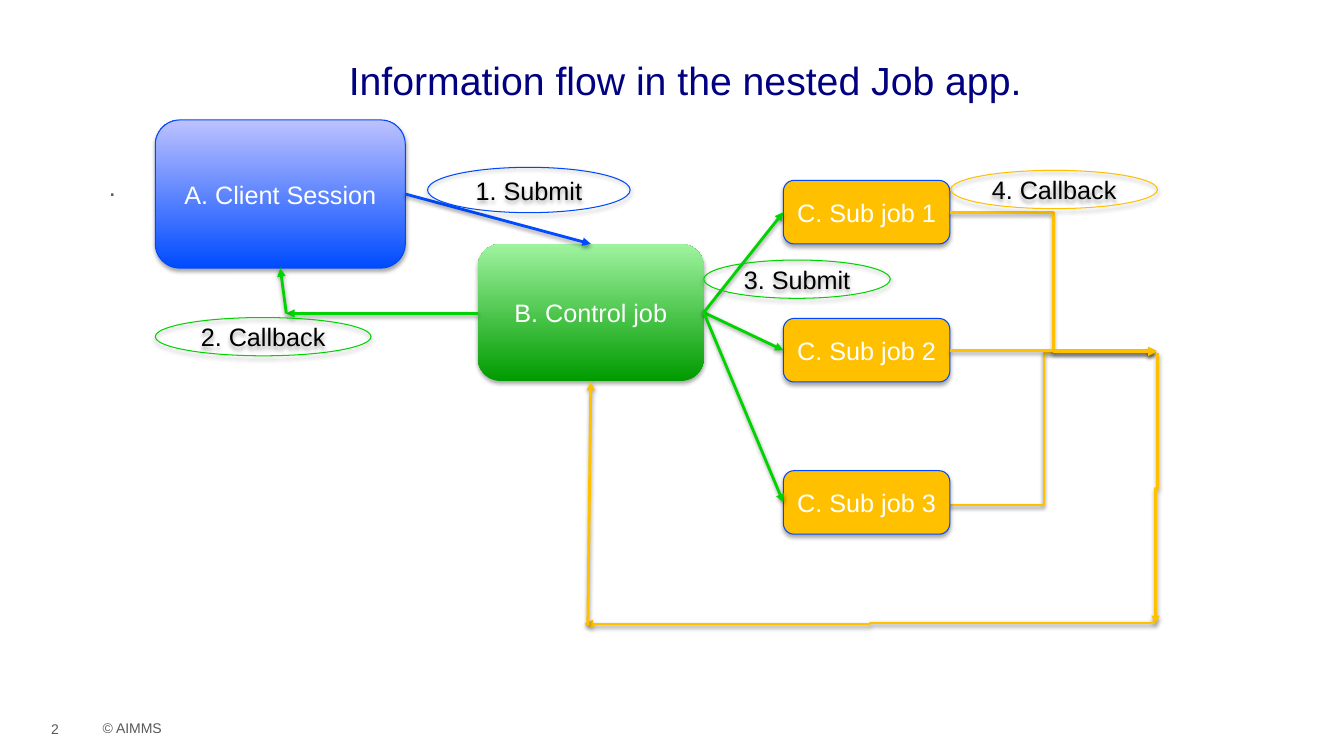
"""Build the slide on information flow in the nested job app."""
from dataclasses import dataclass

from pptx import Presentation
from pptx import oxml
from pptx.dml import color
from pptx.enum import shapes, text
from pptx.oxml import ns
from pptx.util import Inches, Pt


@dataclass(frozen=True)
class Theme:
    """Colours, font and sizes of the slide."""
    font: str = "Arial"
    title: str = "000081"
    body: str = "595959"
    footer: str = "585858"
    white: str = "FFFFFF"
    black: str = "000000"
    outline: str = "0049F9"
    blue: str = "004BFF"
    pale_blue: str = "BDC1FF"
    green: str = "00D400"
    dark_green: str = "009B00"
    pale_green: str = "9FF39F"
    amber: str = "FFC000"
    title_size: int = 28
    text_size: int = 18
    footer_size: int = 10
    thin: float = 0.75
    thick: float = 2


THEME = Theme()
TOP, LEFT, BOTTOM, RIGHT = range(4)


def rgb(value):
    """Turn a hex string into a colour."""
    return color.RGBColor.from_string(value)


def apply(target, values):
    """Set every attribute named in a dict of format values."""
    for name, value in values.items():
        setattr(target, name, value)


def write(box, words, tint, size, para_format, frame_format):
    """Write one formatted paragraph into a shape or placeholder."""
    frame = box.text_frame
    apply(frame, {"auto_size": text.MSO_AUTO_SIZE.NONE, **frame_format})
    para = frame.paragraphs[0]
    apply(para, para_format)
    span = para.add_run()
    span.text = words
    apply(span.font, {"name": THEME.font, "size": Pt(size)})
    span.font.color.rgb = rgb(tint)


def place(box, left, top, width, height):
    """Move and size a shape in inches."""
    apply(box, {"left": Inches(left), "top": Inches(top),
                "width": Inches(width), "height": Inches(height)})


def add_shadow(item, distance, alpha):
    """Give a shape or connector a soft shadow below it."""
    properties = item._element.spPr
    for old in properties.findall(ns.qn("a:effectLst")):
        properties.remove(old)
    properties.append(oxml.parse_xml(
        f'<a:effectLst {ns.nsdecls("a")}><a:outerShdw blurRad="{Pt(3.1)}" dist="{Pt(distance)}" '
        f'dir="5400000" rotWithShape="0"><a:srgbClr val="{THEME.black}">'
        f'<a:alpha val="{alpha * 1000}"/></a:srgbClr></a:outerShdw></a:effectLst>'))


def add_node(page, kind, bounds, words, tint, fills=(), outline=None):
    """Add a shape with centred text and no, solid or gradient fill."""
    box = page.shapes.add_shape(kind, *map(Inches, bounds))
    box.shadow.inherit = False
    if len(fills) == 2:
        box.fill.gradient()
        box.fill.gradient_angle = 90
        for stop, shade in zip(box.fill.gradient_stops, fills):
            stop.color.rgb = rgb(shade)
    elif fills:
        box.fill.solid()
        box.fill.fore_color.rgb = rgb(fills[0])
    else:
        box.fill.background()
    if outline:
        box.line.color.rgb = rgb(outline)
        box.line.width = Pt(THEME.thin)
    else:
        box.line.fill.background()
    add_shadow(box, 1.8, 35)
    write(box, words, tint, THEME.text_size, {"alignment": text.PP_ALIGN.CENTER},
          {"word_wrap": True, "vertical_anchor": text.MSO_ANCHOR.MIDDLE,
           "margin_left": 0, "margin_right": 0})
    return box


def add_job(page, bounds, words, fills, outline=None):
    """Add a rounded box for a session or job."""
    return add_node(page, shapes.MSO_SHAPE.ROUNDED_RECTANGLE, bounds, words,
                    THEME.white, fills, outline)


def add_label(page, bounds, words, outline):
    """Add an open ellipse that names a step."""
    add_node(page, shapes.MSO_SHAPE.OVAL, bounds, words, THEME.black, outline=outline)


def add_arrow(page, start, end, tint, kind=shapes.MSO_CONNECTOR.STRAIGHT):
    """Add a shadowed arrow between two points in inches."""
    arrow = page.shapes.add_connector(kind, *map(Inches, (*start, *end)))
    arrow.line.color.rgb = rgb(tint)
    arrow.line.width = Pt(THEME.thick)
    arrow.line._get_or_add_ln().append(
        oxml.parse_xml(f'<a:tailEnd {ns.nsdecls("a")} type="triangle"/>'))
    add_shadow(arrow, 1.6, 38)
    return arrow


def add_elbow(page, start, end, tint):
    """Add an arrow that turns halfway across."""
    return add_arrow(page, start, end, tint, shapes.MSO_CONNECTOR.ELBOW)


def add_drop(page, start, end, tint):
    """Add an arrow that runs down and turns halfway."""
    (x1, y1), (x2, y2) = start, end
    middle_x, middle_y = (x1 + x2) / 2, (y1 + y2) / 2
    half_run, half_shift = (y2 - y1) / 2, (x1 - x2) / 2
    arrow = add_elbow(page, (middle_x - half_run, middle_y - half_shift),
                      (middle_x + half_run, middle_y + half_shift), tint)
    arrow._element.spPr.find(ns.qn("a:xfrm")).set("rot", "5400000")


def add_link(page, source, source_site, target, target_site, tint):
    """Add a straight arrow glued to two boxes."""
    arrow = add_arrow(page, (0, 0), (1, 1), tint)
    arrow.begin_connect(source, source_site)
    arrow.end_connect(target, target_site)


def add_texts(page):
    """Fill the placeholders and add the footer texts."""
    title, body = page.placeholders
    place(title, 0.93, 0.48, 11.73, 0.49)
    write(title, "Information flow in the nested Job app.", THEME.title, THEME.title_size,
          {"alignment": text.PP_ALIGN.CENTER},
          {"vertical_anchor": text.MSO_ANCHOR.TOP, "margin_top": Inches(0.08)})
    place(body, 0.98, 1.5, 11.77, 5.18)
    properties = body.text_frame.paragraphs[0]._p.get_or_add_pPr()
    apply_indent = {"marL": "0", "indent": "0"}
    for name, value in apply_indent.items():
        properties.set(name, value)
    properties.append(oxml.parse_xml(f'<a:buNone {ns.nsdecls("a")}/>'))
    write(body, ".", THEME.body, THEME.text_size,
          {"line_spacing": 1.5, "space_before": Pt(0)}, {})
    for words, bounds, anchor in (
            ("2", (0.41, 6.96, 0.51, 0.4), text.MSO_ANCHOR.BOTTOM),
            ("© AIMMS", (0.92, 7.09, 0.8, 0.27), text.MSO_ANCHOR.TOP)):
        box = page.shapes.add_textbox(*map(Inches, bounds))
        write(box, words, THEME.footer, THEME.footer_size, {},
              {"word_wrap": False, "vertical_anchor": anchor})


def add_flow(page):
    """Draw the jobs, the arrows between them and the step labels."""
    add_elbow(page, (9.24, 5.01), (11.47, 3.5), THEME.amber)
    client = add_job(page, (1.54, 1.19, 2.48, 1.47), "A. Client Session",
                     (THEME.blue, THEME.pale_blue), THEME.outline)
    control = add_job(page, (4.74, 2.42, 2.24, 1.36), "B. Control job",
                      (THEME.dark_green, THEME.pale_green))
    sub_jobs = [add_job(page, (7.77, top, 1.65, 0.63), f"C. Sub job {number}",
                        (THEME.amber,), THEME.outline)
                for number, top in enumerate((1.79, 3.16, 4.67), 1)]
    for sub_job in sub_jobs:
        add_link(page, control, RIGHT, sub_job, LEFT, THEME.green)
    add_elbow(page, (9.42, 2.11), (11.47, 3.48), THEME.amber)
    add_elbow(page, (9.42, 3.48), (11.47, 3.49), THEME.amber)
    add_drop(page, (11.48, 3.5), (11.46, 6.19), THEME.amber)
    add_elbow(page, (11.46, 6.18), (5.8, 6.19), THEME.amber)
    add_arrow(page, (5.83, 6.2), (5.86, 3.79), THEME.amber)
    add_link(page, client, RIGHT, control, TOP, THEME.blue)
    add_elbow(page, (4.74, 3.11), (2.84, 3.11), THEME.green)
    add_arrow(page, (2.84, 3.11), (2.78, 2.66), THEME.green)
    for words, bounds, outline in (
            ("1. Submit", (4.24, 1.66, 2.01, 0.45), THEME.outline),
            ("3. Submit", (6.98, 2.58, 1.85, 0.38), THEME.green),
            ("4. Callback", (9.43, 1.69, 2.05, 0.38), THEME.amber),
            ("2. Callback", (1.54, 3.15, 2.14, 0.38), THEME.green)):
        add_label(page, bounds, words, outline)


def main():
    """Build the deck and save it."""
    deck = Presentation()
    apply(deck, {"slide_width": Inches(13.33), "slide_height": Inches(7.5)})
    page = deck.slides.add_slide(deck.slide_layouts[1])
    add_texts(page)
    add_flow(page)
    deck.save("out.pptx")


if __name__ == "__main__":
    main()
